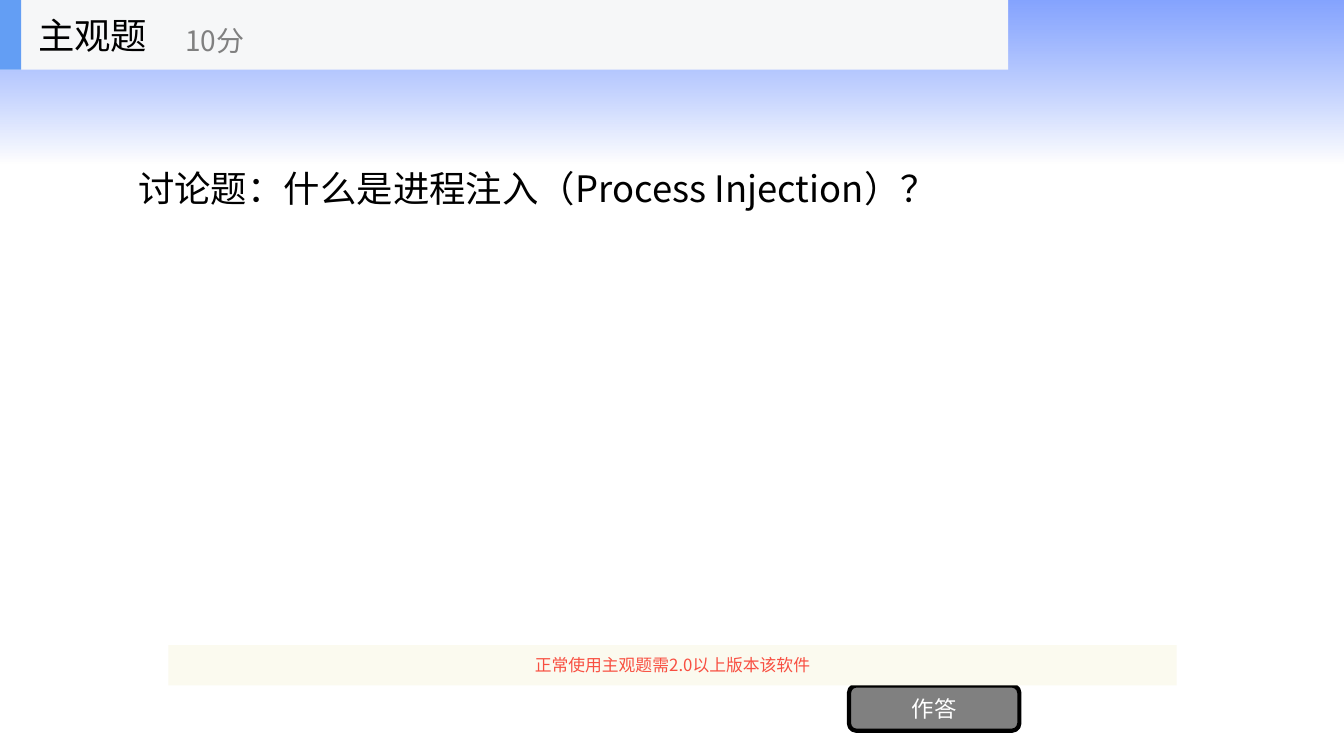
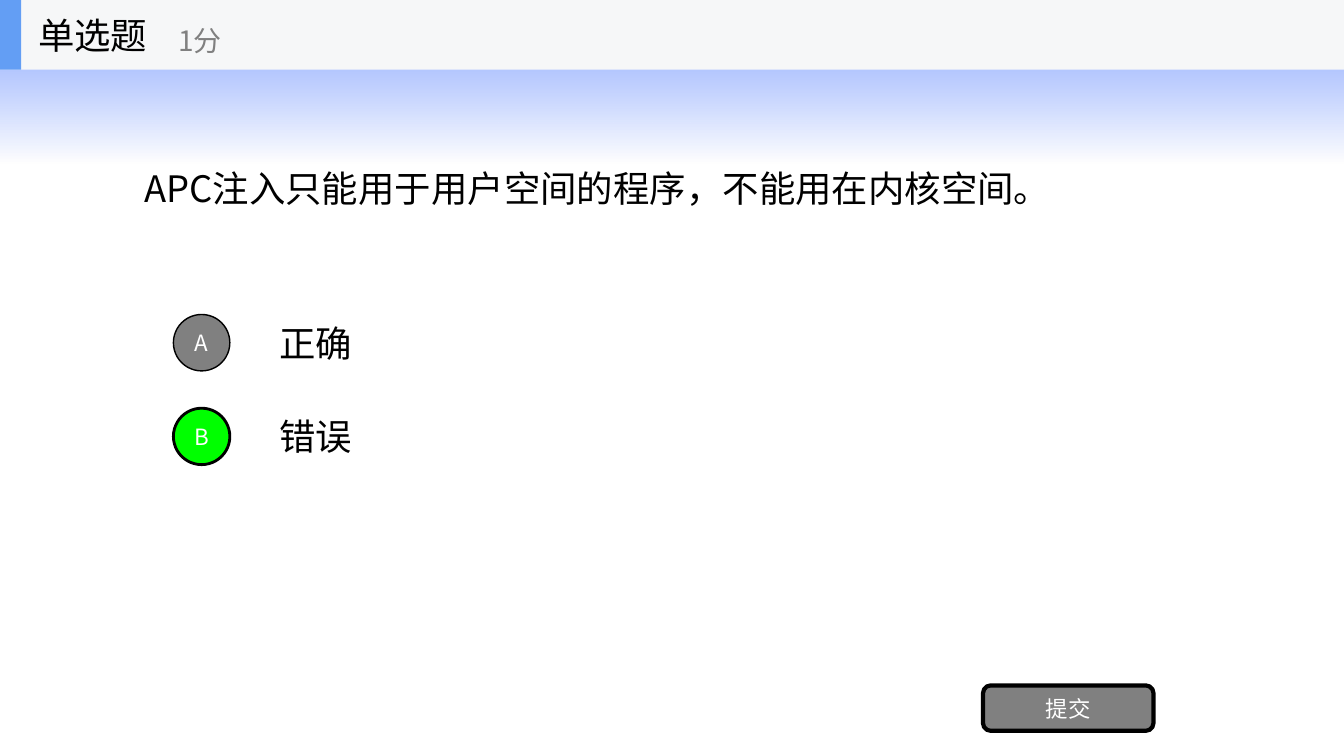
from pptx import Presentation
from pptx.dml.color import RGBColor
from pptx.enum.shapes import MSO_SHAPE
from pptx.enum.text import MSO_ANCHOR, MSO_AUTO_SIZE, PP_ALIGN
from pptx.oxml.ns import qn
from pptx.util import Inches, Pt
from lxml import etree

FONT = "Noto Sans CJK SC"
BLACK = RGBColor(0x00, 0x00, 0x00)
WHITE = RGBColor(0xFF, 0xFF, 0xFF)
GRAY = RGBColor(0x80, 0x80, 0x80)
GREEN = RGBColor(0x00, 0xFF, 0x00)
BAND_BLUE = RGBColor(0x33, 0x66, 0xFF)
ACCENT_BLUE = RGBColor(0x63, 0x9E, 0xF4)
HEADER_GRAY = RGBColor(0xF6, 0xF7, 0xF8)
CREAM = RGBColor(0xFB, 0xFA, 0xEF)
RED = RGBColor(0xF8, 0x4F, 0x41)

SLIDE_W, SLIDE_H = 13.33, 7.5
HEADER_H = 0.69
BUTTON_W, BUTTON_H = 1.69, 0.45
BUBBLE = 0.56
OPTION_H, OPTION_STEP = 0.7, 0.93


def write(sp, text, size, color, align=PP_ALIGN.LEFT):
    """Put one vertically centred line of text in a shape."""
    tf = sp.text_frame
    tf.text = text
    tf.word_wrap = True
    tf.auto_size = MSO_AUTO_SIZE.NONE
    tf.vertical_anchor = MSO_ANCHOR.MIDDLE
    p = tf.paragraphs[0]
    p.alignment = align
    r = p.runs[0]
    r.font.name = FONT
    r.font.size = Pt(size)
    r.font.color.rgb = color
    ea = etree.SubElement(r.font._element, qn("a:ea"))
    ea.set("typeface", FONT)


def add_box(s, kind, left, top, width, height, fill=None, line=0):
    """Add a flat preset shape, with a black outline if line is given."""
    sp = s.shapes.add_shape(kind, Inches(left), Inches(top), Inches(width), Inches(height))
    sp.shadow.inherit = False
    if fill is not None:
        sp.fill.solid()
        sp.fill.fore_color.rgb = fill
    if line:
        sp.line.color.rgb = BLACK
        sp.line.width = Pt(line)
    else:
        sp.line.fill.background()
    return sp


def add_label(s, left, top, width, height, text, size, color):
    """Add a left-aligned text box."""
    sp = s.shapes.add_textbox(Inches(left), Inches(top), Inches(width), Inches(height))
    write(sp, text, size, color)


def add_layout_band(s):
    """Place the fading blue band on the layout shared by the slides."""
    band = add_box(s, MSO_SHAPE.RECTANGLE, 0, 0, SLIDE_W, 1.62)
    band.fill.gradient()
    band.fill.gradient_angle = 270
    for stop, pos, color in zip(band.fill.gradient_stops, (0, 1), (BAND_BLUE, WHITE)):
        stop.position = pos
        stop.color.rgb = color
    for clr, alpha in zip(band.element.iter(qn("a:srgbClr")), (60, 70)):
        etree.SubElement(clr, qn("a:alpha")).set("val", str(alpha * 1000))
    next(band.element.iter(qn("p:cNvPr"))).set("id", "99")
    s.slide_layout.shapes.element.insert(2, band.element)


def add_question(s, left, text):
    """Place the question in the title placeholder."""
    title = s.shapes.title
    title.left, title.top = Inches(left), Inches(HEADER_H)
    title.width, title.height = Inches(10.67), Inches(2.34)
    write(title, text, 26, BLACK)


def add_header(s, width, kind, score, score_left):
    """Add the header bar with the question type and its score."""
    add_box(s, MSO_SHAPE.RECTANGLE, 0, 0, width, HEADER_H, HEADER_GRAY)
    add_box(s, MSO_SHAPE.RECTANGLE, 0, 0, 0.21, HEADER_H, ACCENT_BLUE)
    add_label(s, 0.28, 0, 2.08, HEADER_H, kind, 26, BLACK)
    add_label(s, score_left, 0.12, 2.5, 0.56, score, 20, GRAY)


def add_button(s, left, text):
    """Add the outlined button at the foot of the slide."""
    sp = add_box(s, MSO_SHAPE.ROUNDED_RECTANGLE, left, 6.8, BUTTON_W, BUTTON_H, GRAY, 3)
    write(sp, text, 16, WHITE, PP_ALIGN.CENTER)


def add_options(s, left, top, options):
    """Add lettered answers, the correct one in green."""
    for i, (letter, text, correct) in enumerate(options):
        y = top + i * OPTION_STEP
        add_label(s, left + 0.95, y, 9.33, OPTION_H, text, 26, BLACK)
        fill, line = (GREEN, 2) if correct else (GRAY, 1)
        bubble_top = y + (OPTION_H - BUBBLE) / 2
        sp = add_box(s, MSO_SHAPE.OVAL, left, bubble_top, BUBBLE, BUBBLE, fill, line)
        write(sp, letter, 16, WHITE, PP_ALIGN.CENTER)


def build_open_question(s):
    """Build the open question slide."""
    add_question(s, 1.27, "讨论题：什么是进程注入（Process Injection）？")
    add_button(s, 8.42, "作答")
    notice = add_box(s, MSO_SHAPE.RECTANGLE, 1.67, 6.4, 10, 0.4, CREAM)
    write(notice, "正常使用主观题需2.0以上版本该软件", 12, RED, PP_ALIGN.CENTER)
    add_header(s, 10, "主观题", "10分", 1.74)


def build_choice_question(s):
    """Build the single choice slide."""
    add_question(s, 1.33, "APC注入只能用于用户空间的程序，不能用在内核空间。")
    add_options(s, 1.72, 3.05, [("A", "正确", False), ("B", "错误", True)])
    add_button(s, 9.75, "提交")
    add_header(s, SLIDE_W, "单选题", "1分", 1.67)


def main():
    """Build and save the presentation."""
    prs = Presentation()
    prs.slide_width, prs.slide_height = Inches(SLIDE_W), Inches(SLIDE_H)
    layout = prs.slide_layouts[5]
    for i, build in enumerate((build_open_question, build_choice_question)):
        s = prs.slides.add_slide(layout)
        if i == 0:
            add_layout_band(s)
        build(s)
    prs.save("out.pptx")


if __name__ == "__main__":
    main()
